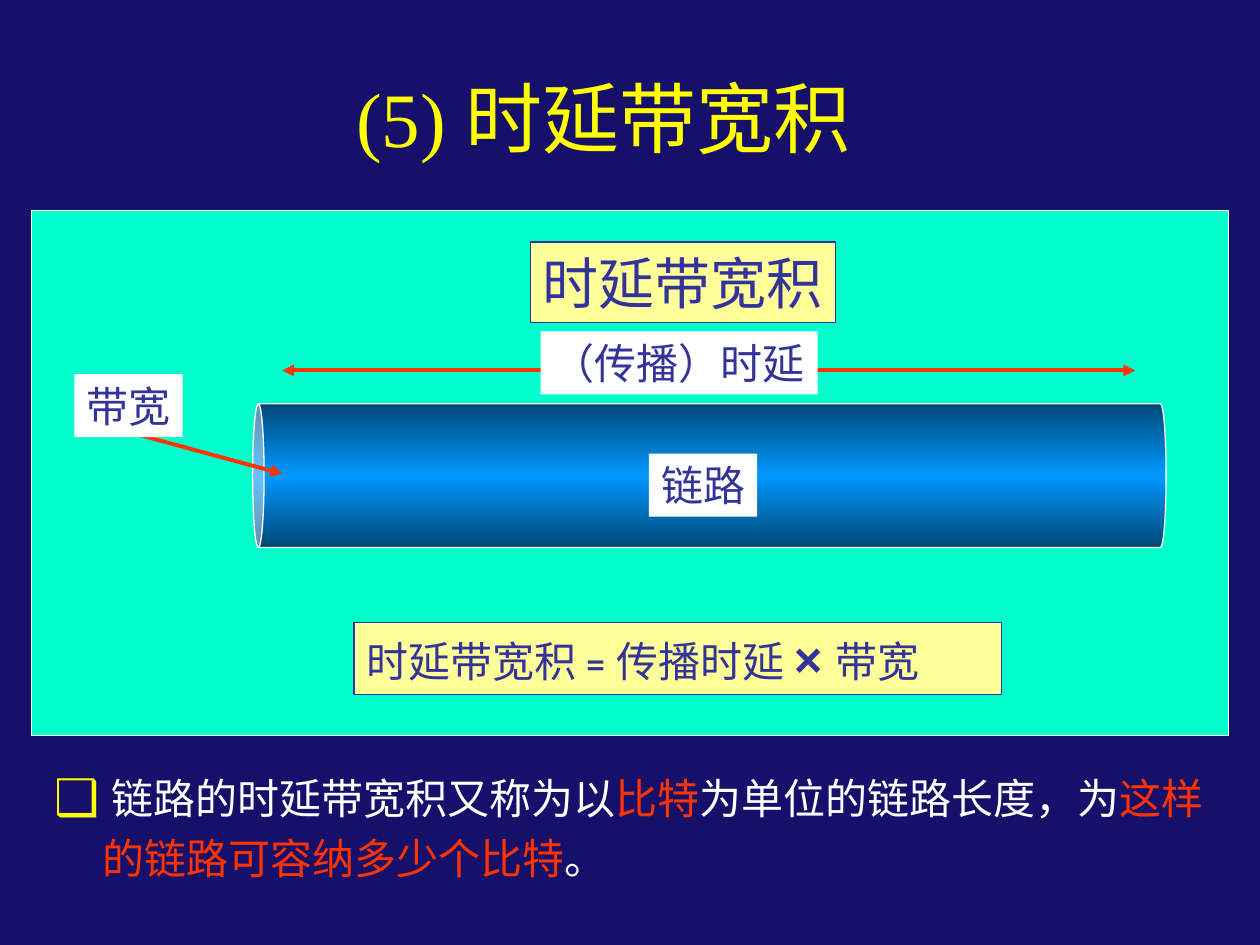
from copy import deepcopy

from lxml import etree
from pptx import Presentation
from pptx import util as u
from pptx.dml.color import RGBColor
from pptx.enum import dml, shapes, text
from pptx.oxml.ns import qn

NAVY = RGBColor(0x16, 0x10, 0x6B)
YELLOW = RGBColor(0xFF, 0xFF, 0x00)
WHITE = RGBColor(0xFF, 0xFF, 0xFF)
RED = RGBColor(0xFF, 0x33, 0x00)
TEAL = RGBColor(0x00, 0xFF, 0xCC)
CREAM = RGBColor(0xFF, 0xFF, 0x99)
INDIGO = RGBColor(0x33, 0x33, 0x99)
PIPE_DARK = RGBColor(0x00, 0x47, 0x76)
PIPE_LIGHT = RGBColor(0x00, 0x99, 0xFF)

TITLE = [("(5) ", {"font": "Times New Roman"}), ("时延带宽积", {})]
BODY = [
    (" 链路的时延带宽积又称为以", {}),
    ("比特", {"color": RED}),
    ("为单位的链路长度，为", {}),
    ("这样的链路可容纳多少个比特", {"color": RED}),
    ("。", {}),
]
FORMULA = [
    ("时延带宽积 = 传播时延 ", {}),
    ("× ", {"size": 28, "font": "Arial", "bold": True}),
    ("带宽", {}),
]
ARROWS = [((2.24, 2.94), (9.01, 2.94), True), ((1.06, 3.44), (2.24, 3.76), False)]
LABELS = [
    ((4.29, 2.63, 2.2, 0.5), WHITE, None, [("（传播）时延", {})]),
    ((5.15, 3.6, 0.86, 0.5), WHITE, None, [("链路", {})]),
    ((0.59, 2.97, 0.86, 0.5), WHITE, None, [("带宽", {})]),
    ((2.81, 4.94, 5.14, 0.57), CREAM, INDIGO, FORMULA),
    ((4.21, 1.92, 2.42, 0.64), CREAM, INDIGO, [("时延带宽积", {"size": 32})]),
]


def add_run(paragraph, words, size=24, font="Arial", color=WHITE, bold=False):
    run = paragraph.add_run()
    run.text = words
    run.font.size = u.Pt(size)
    run.font.name = font
    run.font.color.rgb = color
    run.font.bold = bold


def write(paragraph, runs, **defaults):
    for words, changes in runs:
        add_run(paragraph, words, **{**defaults, **changes})


def place(shape, box):
    shape.left, shape.top, shape.width, shape.height = map(u.Inches, box)


def add_panel(group, kind, box, fill, line):
    shape = group.add_shape(kind, *map(u.Inches, box))
    shape.shadow.inherit = False
    if fill is not None:
        shape.fill.solid()
        shape.fill.fore_color.rgb = fill
    if line is None:
        shape.line.fill.background()
    else:
        shape.line.color.rgb = line
        shape.line.width = u.Pt(0.75)
    return shape


def add_pipe(group):
    pipe = add_panel(group, shapes.MSO_SHAPE.CAN, (5.06, 0.15, 1.14, 7.25), None, WHITE)
    pipe.rotation = 270
    pipe.adjustments[0] = 0.08
    pipe.fill.gradient()
    pipe.fill.gradient_angle = 0
    stop_list = pipe._element.spPr.find(qn("a:gradFill")).find(qn("a:gsLst"))
    stop_list.insert(1, deepcopy(stop_list[0]))
    colors = (PIPE_DARK, PIPE_LIGHT, PIPE_DARK)
    for index, (stop, color) in enumerate(zip(pipe.fill.gradient_stops, colors)):
        stop.position = index / 2
        stop.color.rgb = color


def add_arrow(group, start, end, both_ends):
    points = map(u.Inches, start + end)
    arrow = group.add_connector(shapes.MSO_CONNECTOR.STRAIGHT, *points)
    arrow.line.color.rgb = RED
    arrow.line.width = u.Pt(2.25)
    line = arrow.line._get_or_add_ln()
    for tag in ("a:headEnd", "a:tailEnd") if both_ends else ("a:tailEnd",):
        etree.SubElement(line, qn(tag), type="triangle")
    etree.SubElement(arrow._element.spPr, qn("a:effectLst"))


def add_label(group, box, fill, line, runs):
    label = add_panel(group, shapes.MSO_SHAPE.RECTANGLE, box, fill, line)
    frame = label.text_frame
    frame.word_wrap = False
    frame.vertical_anchor = text.MSO_ANCHOR.TOP
    paragraph = frame.paragraphs[0]
    paragraph.alignment = text.PP_ALIGN.LEFT
    write(paragraph, runs, font="Cabin", color=INDIGO)


def fill_title(title):
    place(title, (0.33, 0.25, 8.92, 1.35))
    frame = title.text_frame
    frame.auto_size = text.MSO_AUTO_SIZE.NONE
    frame.vertical_anchor = text.MSO_ANCHOR.MIDDLE
    paragraph = frame.paragraphs[0]
    paragraph.alignment = text.PP_ALIGN.CENTER
    write(paragraph, TITLE, size=44, color=YELLOW)


def fill_body(body):
    place(body, (0.33, 6, 9.42, 1.17))
    frame = body.text_frame
    frame.auto_size = text.MSO_AUTO_SIZE.NONE
    paragraph = frame.paragraphs[0]
    paragraph.line_spacing = 1.2
    paragraph.space_before = u.Pt(0)
    properties = paragraph._p.get_or_add_pPr()
    properties.set("marL", str(u.Inches(0.38)))
    properties.set("indent", str(u.Inches(-0.38)))
    bullet_color = etree.SubElement(properties, qn("a:buClr"))
    etree.SubElement(bullet_color, qn("a:srgbClr"), val=str(YELLOW))
    etree.SubElement(properties, qn("a:buSzPct"), val="120000")
    etree.SubElement(properties, qn("a:buChar"), char="❑")
    write(paragraph, BODY)


def main():
    presentation = Presentation()
    presentation.slide_width = u.Inches(10)
    presentation.slide_height = u.Inches(7.5)
    slide = presentation.slides.add_slide(presentation.slide_layouts[1])
    slide.background.fill.solid()
    slide.background.fill.fore_color.rgb = NAVY
    fill_title(slide.shapes.title)
    fill_body(slide.placeholders[1])

    group = slide.shapes.add_group_shape().shapes
    add_panel(group, shapes.MSO_SHAPE.RECTANGLE, (0.25, 1.67, 9.5, 4.17), TEAL, WHITE)
    add_pipe(group)
    for arrow in ARROWS:
        add_arrow(group, *arrow)
    for label in LABELS:
        add_label(group, *label)
    presentation.save("out.pptx")


if __name__ == "__main__":
    main()
